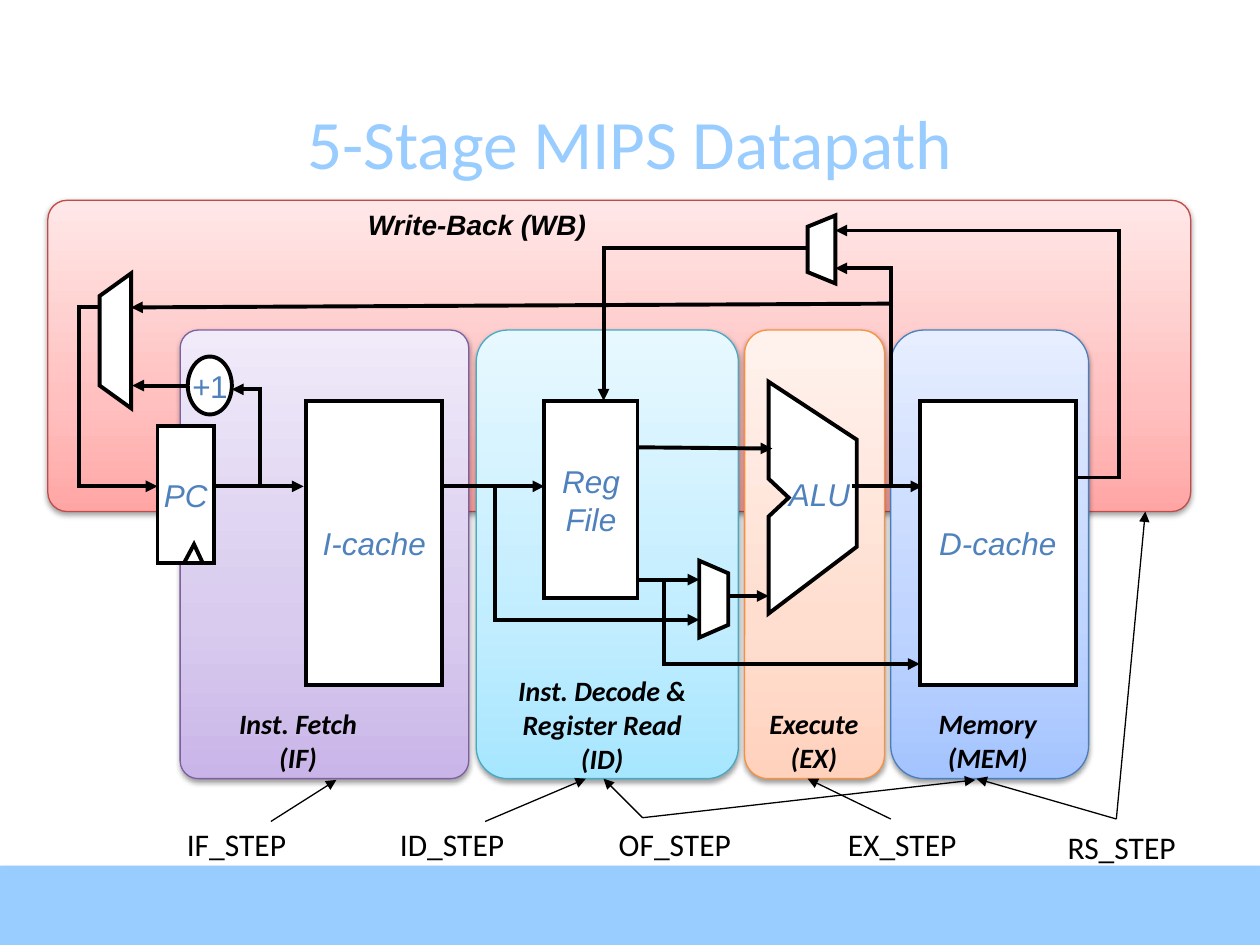
from copy import deepcopy

from lxml.etree import SubElement
from pptx import Presentation
from pptx.dml.color import RGBColor
from pptx.enum.shapes import MSO_CONNECTOR, MSO_SHAPE
from pptx.enum.text import MSO_ANCHOR, MSO_AUTO_SIZE, PP_ALIGN
from pptx.oxml.ns import qn
from pptx.util import Cm, Pt

BLACK, WHITE, SKY, BLUE = "000000", "FFFFFF", "99CCFF", "4F81BD"
FORMATS = {
    "title": {"name": "Calibri", "size": Pt(39.6), "color": SKY},
    "write_back": {"name": "Arial", "size": Pt(16), "bold": True, "italic": True, "color": BLACK},
    "stage": {"name": "Calibri", "size": Pt(16), "bold": True, "italic": True, "color": BLACK},
    "unit": {"name": "Arial", "size": Pt(18), "italic": True, "color": BLUE},
    "digit": {"name": "Arial", "size": Pt(18), "italic": False, "color": BLUE},
    "step": {"name": "Calibri", "size": Pt(18), "color": BLACK},
}
THIN, THICK = Pt(0.75), Pt(2.25)


def u(value):
    """Layout unit, 2.54 cm, as a length."""
    return Cm(value * 2.54)


def rgb(color):
    return RGBColor.from_string(color)


class Diagram:
    """Holds the current slide and draws the datapath parts in one style."""

    def __init__(self, slide):
        self.s = slide

    def stroke(self, sp, width, arrow=False):
        sp.line.width = width
        sp.line.color.rgb = rgb(BLACK)
        ln = sp.line._get_or_add_ln()
        SubElement(ln, qn("a:miter"), lim="800000")
        if arrow:
            SubElement(ln, qn("a:tailEnd"), type="triangle")

    def shadow(self, sp, alpha, dist):
        sp.shadow.inherit = False
        effects = sp._element.spPr.find(qn("a:effectLst"))
        outer = SubElement(effects, qn("a:outerShdw"), blurRad=str(Pt(3.1)), dist=str(Pt(dist)),
                           dir="5400000", rotWithShape="0")
        color = SubElement(outer, qn("a:srgbClr"), val=BLACK)
        SubElement(color, qn("a:alpha"), val=str(alpha * 1000))

    def add_text(self, sp, lines, align=PP_ALIGN.CENTER, anchor=MSO_ANCHOR.MIDDLE, wrap=False):
        """Fill a shape with lines, each a list of (text, format name) runs."""
        tf = sp.text_frame
        tf.word_wrap, tf.vertical_anchor = wrap, anchor
        for i, runs in enumerate(lines):
            p = tf.add_paragraph() if i else tf.paragraphs[0]
            p.alignment = align
            for text, name in runs:
                r = p.add_run()
                r.text = text
                for key, value in FORMATS[name].items():
                    if key == "color":
                        r.font.color.rgb = rgb(value)
                    else:
                        setattr(r.font, key, value)

    def label(self, box, text, name, align=PP_ALIGN.CENTER):
        sp = self.s.shapes.add_textbox(*map(u, box))
        self.add_text(sp, [[(line, name)] for line in text.split("\n")], align, MSO_ANCHOR.TOP)
        sp.text_frame.auto_size = MSO_AUTO_SIZE.SHAPE_TO_FIT_TEXT

    def title(self, box, text):
        sp = self.s.shapes.add_textbox(*map(u, box))
        self.add_text(sp, [[(text, "title")]], wrap=True)

    def bar(self, box, color):
        sp = self.s.shapes.add_shape(MSO_SHAPE.RECTANGLE, *map(u, box))
        sp.fill.solid()
        sp.fill.fore_color.rgb = rgb(color)
        sp.line.fill.background()
        self.shadow(sp, 35, 1.8)

    def panel(self, box, radius, colors, edge):
        """Rounded stage panel with a three-stop gradient, darkest at the bottom."""
        sp = self.s.shapes.add_shape(MSO_SHAPE.ROUNDED_RECTANGLE, *map(u, box))
        sp.adjustments[0] = radius
        sp.fill.gradient()
        sp.fill.gradient_angle = 90
        stops = sp._element.spPr.find(".//" + qn("a:gsLst"))
        stops.append(deepcopy(stops[-1]))
        for stop, position, color in zip(sp.fill.gradient_stops, (0, 0.35, 1), colors):
            stop.position = position
            stop.color.rgb = rgb(color)
        sp.line.color.rgb = rgb(edge)
        sp.line.width = THIN
        self.shadow(sp, 38, 1.6)

    def unit(self, box, lines, kind=MSO_SHAPE.RECTANGLE):
        sp = self.s.shapes.add_shape(kind, *map(u, box))
        sp.shadow.inherit = False
        sp.fill.solid()
        sp.fill.fore_color.rgb = rgb(WHITE)
        self.stroke(sp, THICK)
        self.add_text(sp, lines)

    def outline(self, points, closed=True, arrow=False):
        """Freeform through the points: white when closed, bare line when open."""
        start, *rest = [(u(x), u(y)) for x, y in points]
        builder = self.s.shapes.build_freeform(*start)
        builder.add_line_segments(rest, close=closed)
        sp = builder.convert_to_shape()
        sp.shadow.inherit = False
        if closed:
            sp.fill.solid()
            sp.fill.fore_color.rgb = rgb(WHITE)
        else:
            sp.fill.background()
        self.stroke(sp, THICK, arrow)

    def mux(self, wide_x, narrow_x, top, bottom, slant):
        self.outline([(wide_x, top), (narrow_x, top + slant),
                      (narrow_x, bottom - slant), (wide_x, bottom)])

    def arrow(self, start, end, width=THICK):
        sp = self.s.shapes.add_connector(MSO_CONNECTOR.STRAIGHT, *map(u, start + end))
        self.stroke(sp, width, True)
        SubElement(sp._element.spPr, qn("a:effectLst"))

    def wire(self, *points):
        if len(points) == 2:
            self.arrow(*points)
        else:
            self.outline(points, closed=False, arrow=True)


STAGE_TOP, STAGE_HEIGHT = 2.62, 3.56
STAGES = [  # left, width, corner, gradient, edge, label box, label
    (7.07, 1.57, 0.167, ("A4C4FF", "BFD4FF", "E6EEFF"), "4B7EBC",
     (7.31, 5.56, 1.06, 0.62), "Memory\n(MEM)"),
    (5.91, 1.11, 0.167, ("FFD2BD", "FFDED0", "FFF2ED"), "F69240",
     (5.93, 5.56, 1.06, 0.62), "Execute\n(EX)"),
    (3.78, 2.08, 0.12, ("A7E6FF", "C1EDFF", "E7F8FF"), "46AAC5",
     (3.9, 5.3, 1.76, 1.11), "Inst. Decode &\nRegister Read\n(ID)"),
    (1.43, 2.29, 0.062, ("C9B5E8", "D8CBEE", "F0EAF9"), "7D60A0",
     (1.7, 5.56, 1.33, 0.62), "Inst. Fetch\n(IF)"),
]
UNITS = [
    ((2.43, 3.18, 1.08, 2.26), ["I-cache"]),
    ((4.32, 3.18, 0.74, 1.57), ["Reg", "File"]),
    ((1.25, 3.38, 0.45, 1.09), ["PC"]),
    ((7.3, 3.18, 1.24, 2.26), ["D-cache"]),
]
MAIN_Y = 3.86
WIRES = [
    [(1.71, MAIN_Y), (2.41, MAIN_Y)],
    [(3.51, MAIN_Y), (4.32, MAIN_Y)],
    [(5.06, 3.55), (6.13, 3.56)],
    [(5.78, 4.73), (6.1, 4.73)],
    [(2.06, MAIN_Y), (2.06, 3.09), (1.84, 3.09)],
    [(7.07, 2.41), (1.04, 2.44)],
    [(1.48, 3.06), (1.05, 3.06)],
    [(0.78, 2.44), (0.63, 2.44), (0.63, MAIN_Y), (1.25, MAIN_Y)],
    [(6.76, MAIN_Y), (7.32, MAIN_Y)],
    [(8.53, 3.79), (8.88, 3.79), (8.88, 1.83), (6.63, 1.83)],
    [(6.4, 1.97), (4.79, 1.97), (4.79, 3.18)],
    [(7.07, MAIN_Y), (7.07, 2.13), (6.63, 2.13)],
    [(5.06, 4.6), (5.55, 4.6)],
    [(3.93, MAIN_Y), (3.93, 4.92), (5.55, 4.92)],
    [(5.27, 4.6), (5.27, 5.27), (7.3, 5.27)],
]
MUXES = [(1.04, 0.79, 2.17, 3.24, 0.18), (6.63, 6.41, 1.71, 2.25, 0.09),
         (5.55, 5.78, 4.45, 5.06, 0.1)]
ALU = [(6.1, 3.03), (6.8, 3.49), (6.8, 4.34), (6.1, 4.87), (6.1, 4.1), (6.26, 3.95), (6.1, 3.8)]
STEPS = [  # label, left, top, width, arrow start, arrow ends
    ("RS_STEP", 8.3, 6.52, 1.13, (8.86, 6.5), [(7.75, 6.18), (9.09, 4.06)]),
    ("IF_STEP", 1.32, 6.5, 1.05, (2.15, 6.52), [(2.67, 6.19)]),
    ("ID_STEP", 2.98, 6.5, 1.12, (3.85, 6.52), [(4.65, 6.18)]),
    ("OF_STEP", 4.71, 6.5, 1.19, (5.1, 6.49), [(4.79, 6.18), (7.74, 6.19)]),
    ("EX_STEP", 6.52, 6.5, 1.17, (7.07, 6.5), [(6.41, 6.18)]),
]


def main():
    prs = Presentation()
    prs.slide_width, prs.slide_height = Cm(25.4), Cm(19.05)
    d = Diagram(prs.slides.add_slide(prs.slide_layouts[6]))
    d.bar((0, 6.87, 10, 0.63), SKY)
    d.panel((0.38, 1.59, 9.07, 2.47), 0.062, ("FFA6A5", "FFC0BF", "FFE7E7"), "BF4C48")
    d.label((2.74, 1.6, 2.09, 0.37), "Write-Back (WB)", "write_back")
    d.title((0.69, 0.74, 8.62, 0.77), "5-Stage MIPS Datapath")
    for left, width, radius, colors, edge, box, text in STAGES:
        d.panel((left, STAGE_TOP, width, STAGE_HEIGHT), radius, colors, edge)
        d.label(box, text, "stage")
    for box, lines in UNITS:
        d.unit(box, [[(line, "unit")] for line in lines])
    d.unit((1.49, 2.83, 0.35, 0.46), [[("+", "unit"), ("1", "digit")]], MSO_SHAPE.OVAL)
    d.outline([(1.46, 4.47), (1.54, 4.32), (1.61, 4.47)], closed=False)
    for mux in MUXES:
        d.mux(*mux)
    d.outline(ALU)
    d.label((6.16, 3.72, 0.69, 0.4), "ALU", "unit")
    for points in WIRES:
        d.wire(*points)
    for text, left, top, width, start, ends in STEPS:
        d.label((left, top, width, 0.4), text, "step", PP_ALIGN.RIGHT)
        for end in ends:
            d.arrow(start, end, THIN)
    prs.save("out.pptx")


if __name__ == "__main__":
    main()
